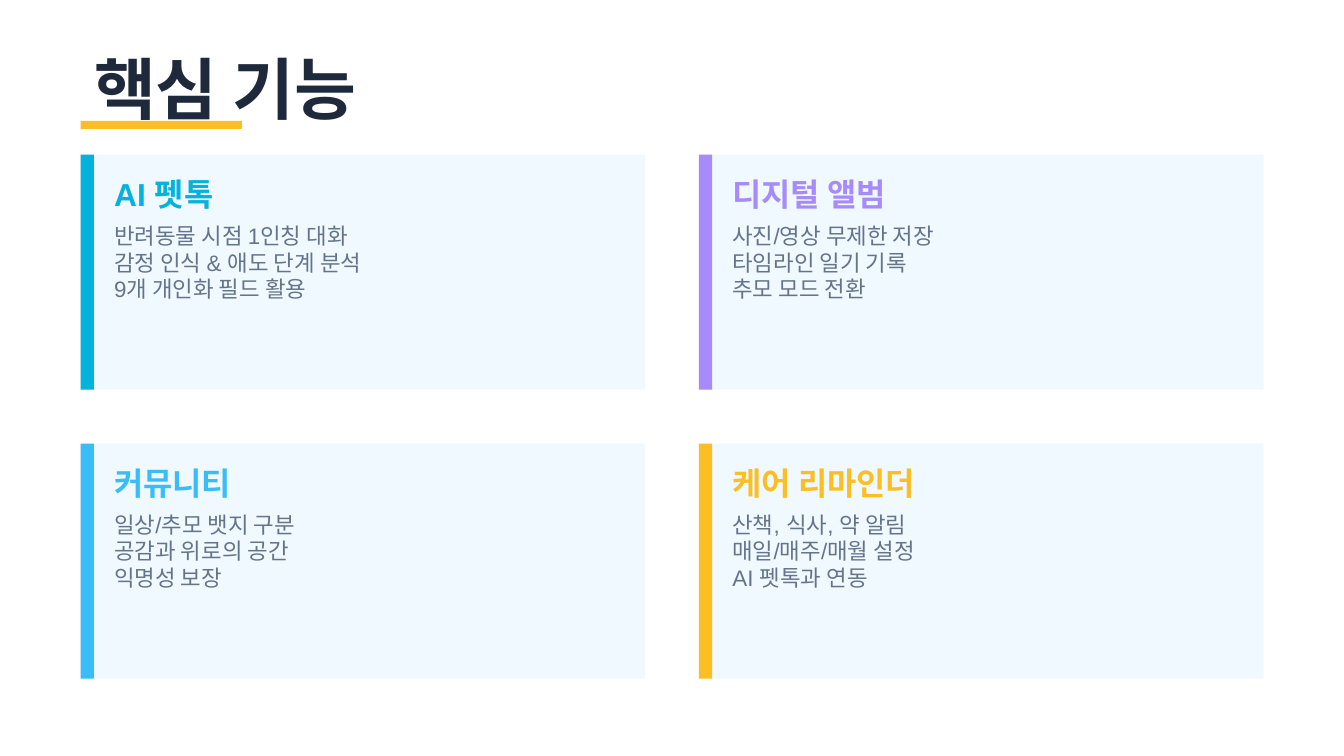
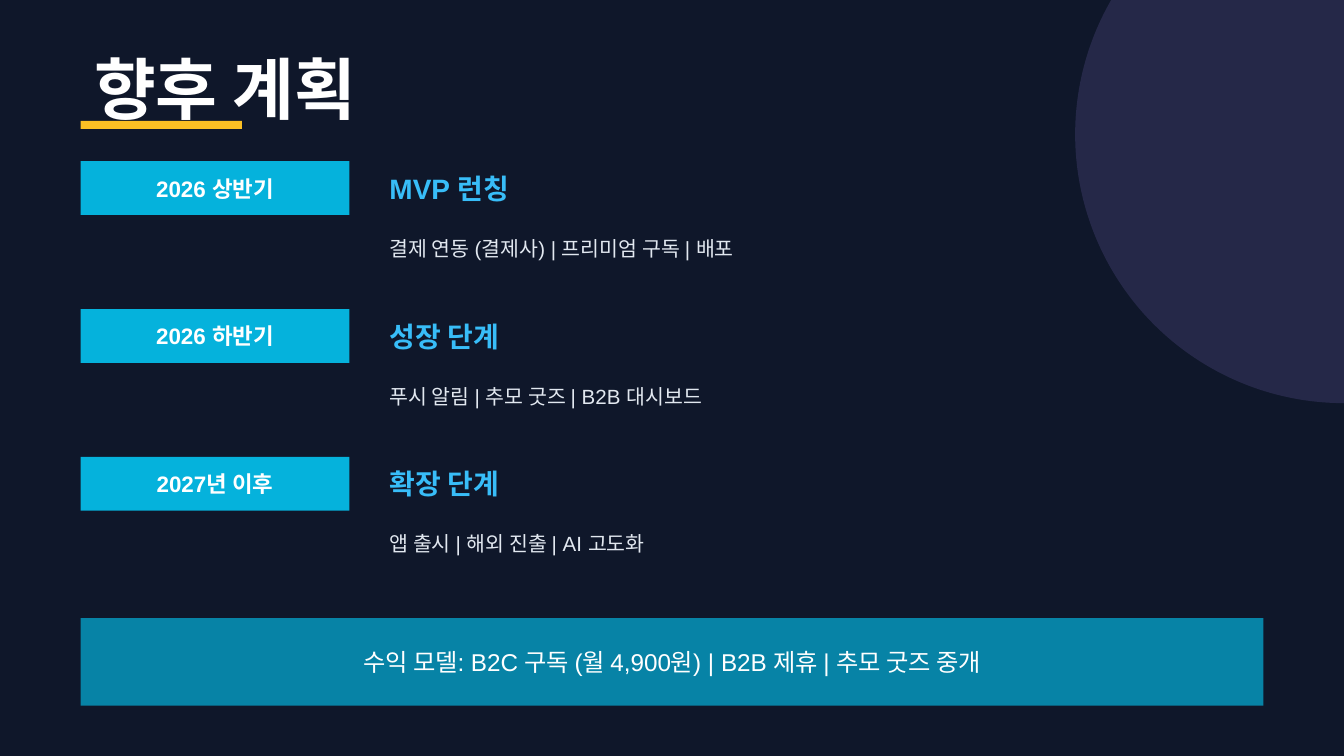
from lxml.etree import SubElement
from pptx import Presentation
from pptx.dml.color import RGBColor
from pptx.enum.shapes import MSO_SHAPE as Preset
from pptx.enum.text import MSO_ANCHOR as Anchor, MSO_AUTO_SIZE as AutoSize, PP_ALIGN as Align
from pptx.oxml.ns import qn
from pptx.util import Inches, Pt

COLORS = {
    "white": "FFFFFF", "night": "0F172A", "ink": "1E293B", "slate": "64748B",
    "mist": "E2E8F0", "card": "F0F9FF", "cyan": "05B2DC", "violet": "A78BFA",
    "sky": "38BDF8", "amber": "FBBF24",
}
LEFT, CONTENT_WIDTH = 0.6, 8.8

# Widescreen 16:9
prs = Presentation()
prs.slide_width = Inches(10)
prs.slide_height = prs.slide_width * 9 // 16


def add_block(slide, preset, box, color, opacity=None):
    block = slide.shapes.add_shape(preset, *map(Inches, box))
    block.shadow.inherit = False
    block.line.fill.background()
    block.fill.solid()
    block.fill.fore_color.rgb = RGBColor.from_string(COLORS[color])
    if opacity is not None:
        tint = block.fill._xPr.find(qn("a:solidFill"))[0]
        SubElement(tint, qn("a:alpha"), val=str(opacity * 1000))
    return block


def write(holder, text, size, color, bold=False, font="Arial",
          align=Align.LEFT, anchor=Anchor.MIDDLE, inset=None):
    frame = holder.text_frame
    frame.text = text
    frame.word_wrap = True
    frame.auto_size = AutoSize.NONE
    frame.vertical_anchor = anchor
    if inset is not None:
        frame.margin_left = frame.margin_right = Inches(inset)
        frame.margin_top = frame.margin_bottom = Inches(inset)
    for paragraph in frame.paragraphs:
        paragraph.alignment = align
        for run in paragraph.runs:
            run.font.name, run.font.size, run.font.bold = font, Pt(size), bold
            run.font.color.rgb = RGBColor.from_string(COLORS[color])


# Shared background, title and underline
pages = []
for heading, background, heading_color in [
    ("핵심 기능", "white", "ink"),
    ("향후 계획", "night", "white"),
]:
    slide = prs.slides.add_slide(prs.slide_layouts[5])
    slide.background.fill.solid()
    slide.background.fill.fore_color.rgb = RGBColor.from_string(COLORS[background])
    title = slide.shapes.title
    title.left, title.top = Inches(LEFT), Inches(0.35)
    title.width, title.height = Inches(8), Inches(0.6)
    write(title, heading, 36, heading_color, bold=True, font="Montserrat")
    add_block(slide, Preset.RECTANGLE, (LEFT, 0.9, 1.2, 0.06), "amber")
    pages.append(slide)
features_page, plan_page = pages

# Feature cards in a two-by-two grid
features = [
    ("AI 펫톡", "cyan", ["반려동물 시점 1인칭 대화", "감정 인식 & 애도 단계 분석", "9개 개인화 필드 활용"]),
    ("디지털 앨범", "violet", ["사진/영상 무제한 저장", "타임라인 일기 기록", "추모 모드 전환"]),
    ("커뮤니티", "sky", ["일상/추모 뱃지 구분", "공감과 위로의 공간", "익명성 보장"]),
    ("케어 리마인더", "amber", ["산책, 식사, 약 알림", "매일/매주/매월 설정", "AI 펫톡과 연동"]),
]
CARD_WIDTH, CARD_HEIGHT, GAP = 4.2, 1.75, 0.4
for index, (feature, accent, details) in enumerate(features):
    row, column = divmod(index, 2)
    x = LEFT + column * (CARD_WIDTH + GAP)
    y = 1.15 + row * (CARD_HEIGHT + GAP)
    add_block(features_page, Preset.RECTANGLE, (x, y, CARD_WIDTH, CARD_HEIGHT), "card")
    add_block(features_page, Preset.RECTANGLE, (x, y, 0.1, CARD_HEIGHT), accent)
    name = features_page.shapes.add_textbox(*map(Inches, (x + 0.25, y + 0.12, 3.8, 0.35)))
    write(name, feature, 17, accent, bold=True, inset=0)
    detail = features_page.shapes.add_textbox(*map(Inches, (x + 0.25, y + 0.5, 3.8, 1.15)))
    write(detail, "\n".join(details), 12, "slate", anchor=Anchor.TOP, inset=0)

# Corner circle on the plan
add_block(plan_page, Preset.OVAL, (8, -1, 4, 4), "violet", opacity=15)

# Plan stages, one per row
stages = [
    ("2026 상반기", "MVP 런칭", "결제 연동 (결제사) | 프리미엄 구독 | 배포"),
    ("2026 하반기", "성장 단계", "푸시 알림 | 추모 굿즈 | B2B 대시보드"),
    ("2027년 이후", "확장 단계", "앱 출시 | 해외 진출 | AI 고도화"),
]
STAGE_PITCH, STAGE_X = 1.1, 2.8
for row, (period, stage, tasks) in enumerate(stages):
    y = 1.2 + row * STAGE_PITCH
    period_tag = add_block(plan_page, Preset.RECTANGLE, (LEFT, y, 2, 0.4), "cyan")
    write(period_tag, period, 12, "white", bold=True, align=Align.CENTER)
    stage_name = plan_page.shapes.add_textbox(*map(Inches, (STAGE_X, y, 1.8, 0.4)))
    write(stage_name, stage, 15, "sky", bold=True)
    task_line = plan_page.shapes.add_textbox(*map(Inches, (STAGE_X, y + 0.42, 6, 0.45)))
    write(task_line, tasks, 11, "mist")

# Revenue band
revenue = add_block(plan_page, Preset.RECTANGLE, (LEFT, 4.6, CONTENT_WIDTH, 0.65), "cyan", opacity=70)
write(revenue, "수익 모델: B2C 구독 (월 4,900원) | B2B 제휴 | 추모 굿즈 중개",
      13, "white", align=Align.CENTER)

prs.save("out.pptx")
